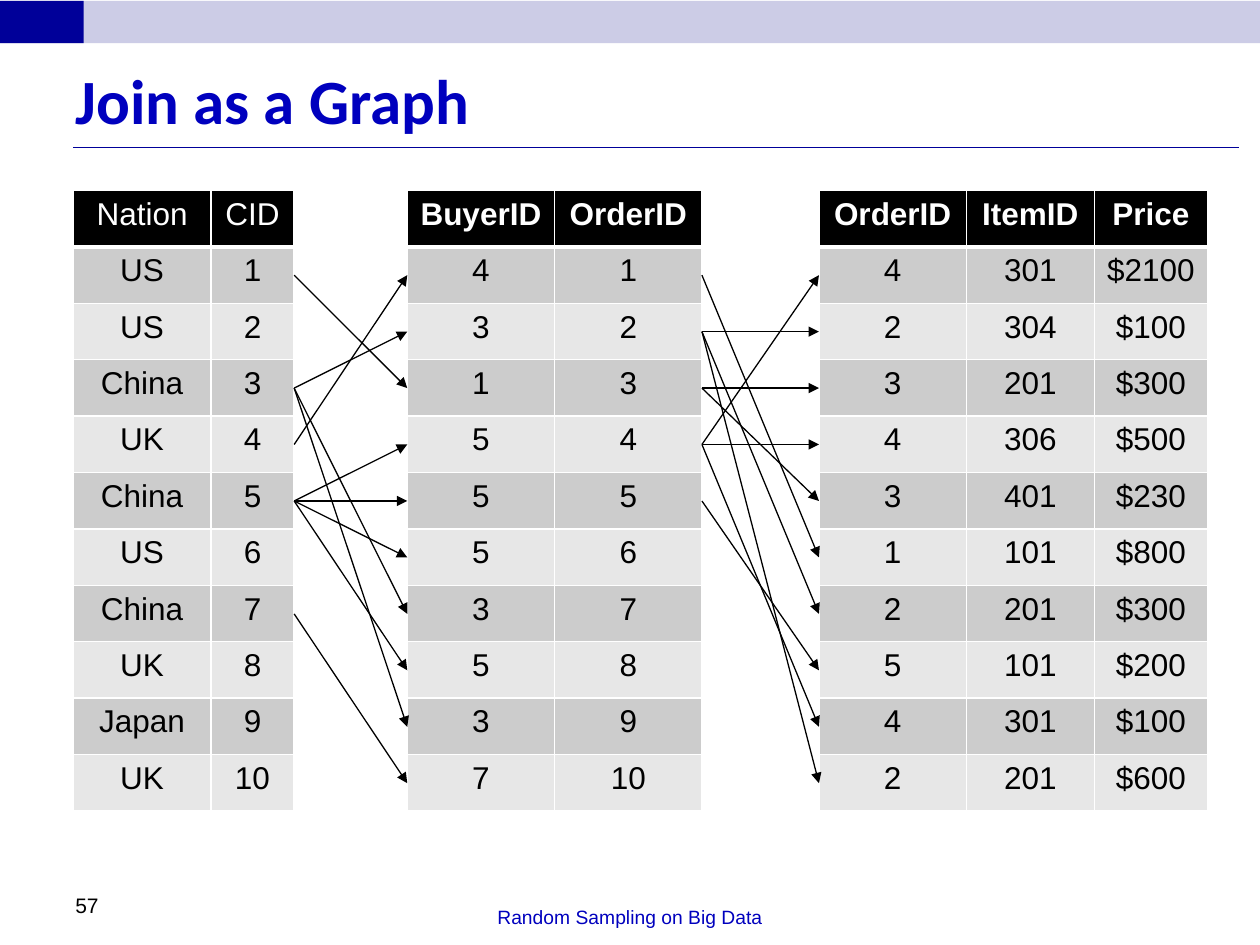
from lxml import etree
from pptx import Presentation
from pptx.dml.color import RGBColor
from pptx.enum.shapes import MSO_CONNECTOR, MSO_SHAPE
from pptx.enum.text import MSO_ANCHOR, PP_ALIGN
from pptx.oxml.ns import qn
from pptx.util import Cm, Pt

LEFT, CENTER = PP_ALIGN.LEFT, PP_ALIGN.CENTER
TOP, MIDDLE, BOTTOM = MSO_ANCHOR.TOP, MSO_ANCHOR.MIDDLE, MSO_ANCHOR.BOTTOM
RECT, STRAIGHT = MSO_SHAPE.RECTANGLE, MSO_CONNECTOR.STRAIGHT

NAVY = RGBColor(0x00, 0x00, 0x99)
BLUE = RGBColor(0x00, 0x00, 0xBE)
LAVENDER = RGBColor(0xCC, 0xCC, 0xE6)
BLACK = RGBColor(0x00, 0x00, 0x00)
WHITE = RGBColor(0xFF, 0xFF, 0xFF)
DARK_ROW = RGBColor(0xCC, 0xCC, 0xCC)
LIGHT_ROW = RGBColor(0xE7, 0xE7, 0xE7)

ROW_H = 1.138
TABLE_TOP = 3.84

CUSTOMERS = [("Nation", "CID"), ("US", 1), ("US", 2), ("China", 3), ("UK", 4),
             ("China", 5), ("US", 6), ("China", 7), ("UK", 8), ("Japan", 9),
             ("UK", 10)]
BUYERS = [4, 3, 1, 5, 5, 5, 3, 5, 3, 7]
ORDERS = [("BuyerID", "OrderID")] + [(b, i) for i, b in enumerate(BUYERS, 1)]
ITEMS = [("OrderID", "ItemID", "Price"), (4, 301, "$2100"), (2, 304, "$100"),
         (3, 201, "$300"), (4, 306, "$500"), (3, 401, "$230"),
         (1, 101, "$800"), (2, 201, "$300"), (5, 101, "$200"),
         (4, 301, "$100"), (2, 201, "$600")]


def write(tf, text, size=18, font="Arial", color=BLACK, bold=False,
          align=LEFT, anchor=TOP):
    tf.word_wrap = True
    tf.vertical_anchor = anchor
    p = tf.paragraphs[0]
    p.alignment = align
    r = p.add_run()
    r.text = text
    r.font.size, r.font.name, r.font.bold = Pt(size), font, bold
    r.font.color.rgb = color


def add_text(s, x, y, w, h, text, **fmt):
    box = s.shapes.add_textbox(Cm(x), Cm(y), Cm(w), Cm(h))
    write(box.text_frame, text, **fmt)


def add_bar(s, x, y, w, h, color):
    sp = s.shapes.add_shape(RECT, Cm(x), Cm(y), Cm(w), Cm(h))
    sp.shadow.inherit = False
    sp.fill.solid()
    sp.fill.fore_color.rgb = color
    sp.line.fill.background()


def add_line(s, x1, y1, x2, y2, color, arrow=False):
    line = s.shapes.add_connector(STRAIGHT, Cm(x1), Cm(y1), Cm(x2), Cm(y2))
    line.line.color.rgb = color
    line.line.width = Pt(0.75)
    if arrow:
        etree.SubElement(line.line._ln, qn("a:tailEnd"), type="triangle")
    etree.SubElement(line._element.spPr, qn("a:effectLst"))


def set_borders(cell, **widths):
    """Draw white borders; widths are points by side: L, R, T, B."""
    tc_pr = cell._tc.get_or_add_tcPr()
    for i, (side, width) in enumerate(widths.items()):
        ln = etree.Element(qn("a:ln" + side), w=str(Pt(width)))
        fill = etree.SubElement(ln, qn("a:solidFill"))
        etree.SubElement(fill, qn("a:srgbClr"), val=str(WHITE))
        tc_pr.insert(i, ln)


def relation(s, x, y, widths, rows, bold_header=True):
    """Place one table of the join at x, y."""
    frame = s.shapes.add_table(len(rows), len(widths), Cm(x), Cm(y),
                               Cm(sum(widths)), Cm(ROW_H * len(rows)))
    table = frame.table
    for column, width in zip(table.columns, widths):
        column.width = Cm(width)
    for i, values in enumerate(rows):
        table.rows[i].height = Cm(ROW_H)
        header = i == 0
        fill = BLACK if header else DARK_ROW if i % 2 else LIGHT_ROW
        for j, value in enumerate(values):
            cell = table.cell(i, j)
            cell.fill.solid()
            cell.fill.fore_color.rgb = fill
            set_borders(cell, L=1, R=1, T=3 if i == 1 else 1,
                        B=3 if header else 1)
            write(cell.text_frame, str(value), align=CENTER,
                  color=WHITE if header else BLACK,
                  bold=header and bold_header)


def join_arrows(s, x1, x2, y, left, right):
    """Link the last column of left to equal keys in the first of right."""
    def row_middle(i):
        return y + ROW_H * (i + 0.5)

    for i, source in enumerate(left[1:], 1):
        for j, target in enumerate(right[1:], 1):
            if source[-1] == target[0]:
                add_line(s, x1, row_middle(i), x2, row_middle(j), BLACK,
                         arrow=True)


def heading(s, x, y, w):
    # Top band, title and rule
    add_bar(s, x, y, w, 0.85, LAVENDER)
    add_bar(s, x, y, 1.69, 0.85, NAVY)
    add_line(s, x + 1.48, y + 2.95, x + w - 0.43, y + 2.95, NAVY)
    add_text(s, x + 1.27, y + 0.82, w - 1.27, 2.33, "Join as a Graph", size=36,
             font="Calibri", color=BLUE, bold=True, anchor=MIDDLE)


def join_graph(s, x, y):
    # Three tables, then the arrows in the gaps between them
    tables = [(x, [2.77, 1.68], CUSTOMERS), (x + 6.73, [2.97, 2.97], ORDERS),
              (x + 15.03, [2.97, 2.58, 2.28], ITEMS)]
    for left, widths, rows in tables:
        relation(s, left, y, widths, rows, bold_header=rows is not CUSTOMERS)
    for (x1, widths, left), (x2, _, right) in zip(tables, tables[1:]):
        join_arrows(s, x1 + sum(widths), x2, y, left, right)


def footer(s, x, y):
    add_text(s, x, y, 5.92, 1.27, "57", size=12, anchor=BOTTOM)
    add_text(s, x + 5.29, y + 0.22, 12.28, 1.27, "Random Sampling on Big Data",
             size=11, color=BLUE, align=CENTER, anchor=BOTTOM)


def main():
    prs = Presentation()
    prs.slide_width, prs.slide_height = Cm(25.4), Cm(19.05)
    s = prs.slides.add_slide(prs.slide_layouts[6])
    heading(s, 0, 0.02, 25.4)
    join_graph(s, 1.48, TABLE_TOP)
    footer(s, 1.27, 17.36)
    prs.save("out.pptx")


if __name__ == "__main__":
    main()
